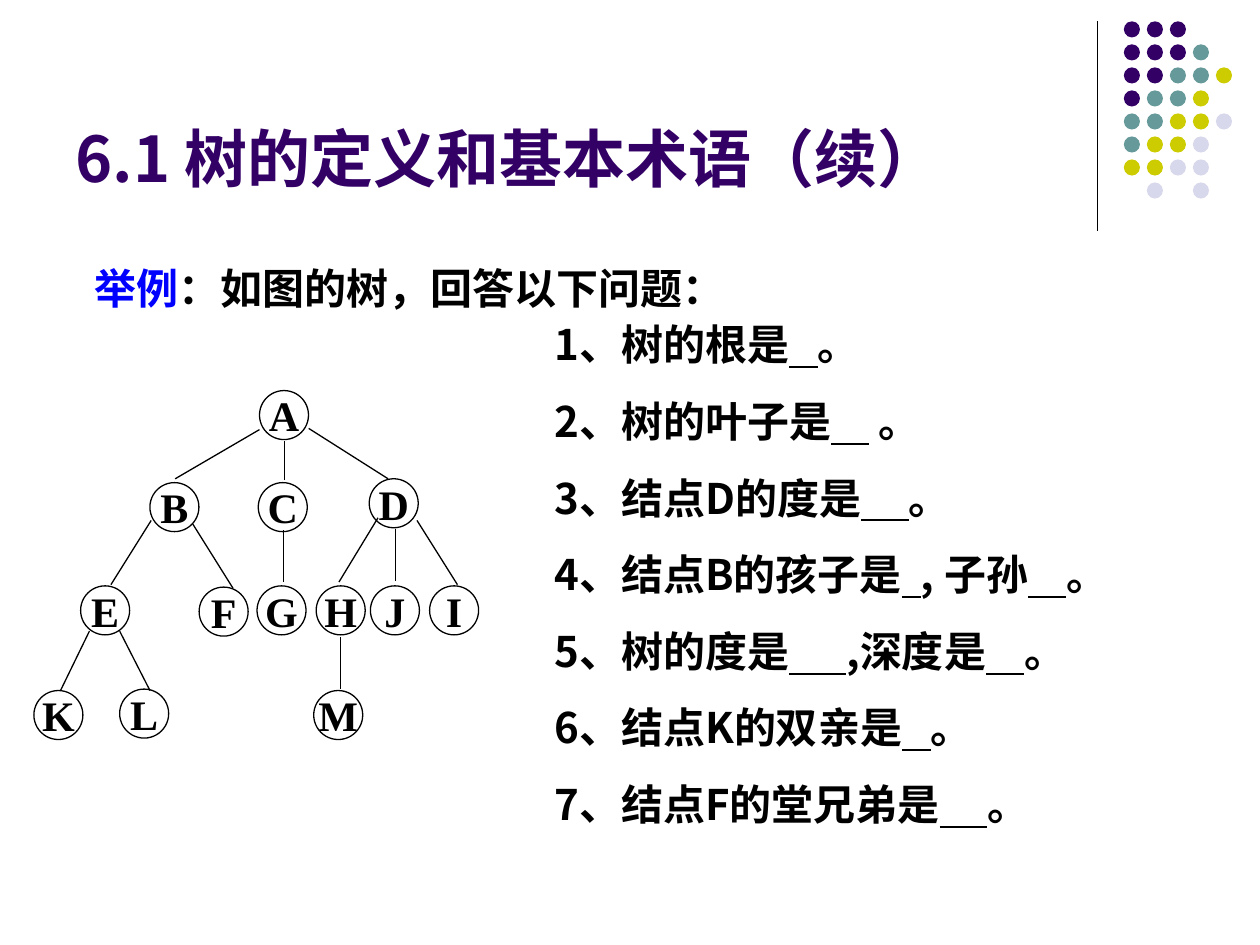
from lxml.etree import SubElement
from pptx import Presentation
from pptx.dml.color import RGBColor
from pptx.enum.shapes import MSO_CONNECTOR, MSO_SHAPE
from pptx.enum.text import MSO_ANCHOR, MSO_AUTO_SIZE, PP_ALIGN
from pptx.oxml.ns import qn
from pptx.util import Pt

THEME = {
    "black": "000000", "blue": "0000FF", "purple": "330066",
    "dots": {"P": "330066", "T": "669999", "Y": "CCCC00", "L": "D8D8EC"},
    "sans": "Noto Sans CJK SC", "lead": "Roboto", "serif": "Times New Roman",
    "head": 36, "text": 24, "line": 0.75,
}
TITLE = "6.1 树的定义和基本术语（续）"
LEAD = [("举例", "blue"), ("：如图的树，回答以下问题：", "black")]
# A number stands for an answer blank of that many underlined spaces.
TASKS = [
    ["1、树的根是", 3, "。"],
    ["2、树的叶子是", 4, " 。"],
    ["3、结点D的度是", 5, "。"],
    ["4、结点B的孩子是", 2, ", 子孙", 4, "。"],
    ["5、树的度是", 6, ",深度是", 4, "。"],
    ["6、结点K的双亲是", 3, "。"],
    ["7、结点F的堂兄弟是", 5, "。"],
]
DOTS = ["PPP", "PPPT", "PPTTY", "PTTY", "TTYYL", "TYYL", "YYLL", " L L"]
NODES = {
    "A": (148.3, 223.2),
    "B": (85.7, 275.8), "C": (147.6, 275.8), "D": (211, 273.6),
    "E": (46.1, 334.8), "F": (113.8, 335.5), "G": (146.9, 334.8),
    "H": (180.7, 334.8), "J": (211.7, 334.8), "I": (245.5, 334.8),
    "K": (19.4, 394.6), "L": (68.4, 393.8), "M": (179.3, 394.6),
}
EDGES = [
    (148.3, 245.5, 100.1, 273.6),  # A-B
    (162.7, 252, 162.7, 274.3),  # A-C
    (176.4, 244.8, 221.8, 273.6),  # A-D
    (86.4, 297.4, 63.4, 334.1),  # B-E
    (110.2, 299.5, 133.2, 336.2),  # B-F
    (162, 303.1, 162, 332.6),  # C-G
    (216, 295.9, 193.7, 332.6),  # D-H
    (226.1, 302.4, 226.1, 331.9),  # D-J
    (238.3, 297.4, 261.4, 334.1),  # D-I
    (51.1, 360.7, 34.6, 394.6),  # E-K
    (68.4, 360.7, 85.7, 394.6),  # E-L
    (194.4, 364.3, 194.4, 393.8),  # H-M
]
NODE, DOT, STEP = 28, 9.2, 13.15


def paint(form, name):
    form.color.rgb = RGBColor.from_string(name)


def style(para, size, face, color, space=0):
    """Format a whole paragraph, Latin and East Asian text alike."""
    props = para._p.get_or_add_pPr()
    props.set("marL", "0")
    props.set("indent", "0")
    para.line_spacing = Pt(size * 1.2)
    para.space_before = Pt(space)
    SubElement(props, qn("a:buNone"))
    font = para.font
    font.size, font.bold = Pt(size), True
    paint(font, color)
    font.name = face
    SubElement(props.defRPr, qn("a:ea")).set("typeface", THEME["sans"])


def place(shape, left, top, width, height):
    shape.left, shape.top = Pt(left), Pt(top)
    shape.width, shape.height = Pt(width), Pt(height)


def frame(shape, size, anchor=MSO_ANCHOR.TOP, wrap=True):
    """Set up a text frame, lowered to fit its tight line pitch."""
    text, drop = shape.text_frame, round(size * 0.09, 2)
    text.word_wrap, text.auto_size = wrap, MSO_AUTO_SIZE.NONE
    text.vertical_anchor = anchor
    text.margin_left = text.margin_right = Pt(7.2)
    text.margin_top, text.margin_bottom = Pt(3.6 + drop), Pt(3.6 - drop)
    return text


def line(slide, ends):
    link = slide.shapes.add_connector(MSO_CONNECTOR.STRAIGHT, *map(Pt, ends))
    paint(link.line, THEME["black"])
    link.line.width = Pt(THEME["line"])
    SubElement(link._element.spPr, qn("a:effectLst"))


def disc(slide, left, top, size):
    shape = slide.shapes.add_shape(
        MSO_SHAPE.OVAL, Pt(left), Pt(top), Pt(size), Pt(size))
    shape.shadow.inherit = False
    return shape


def add_dots(slide):
    line(slide, (627.1, 12.2, 627.1, 131.8))
    for row, marks in enumerate(DOTS):
        for col, mark in enumerate(marks):
            if mark in THEME["dots"]:
                dot = disc(slide, 642.2 + col * STEP, 12.2 + row * STEP, DOT)
                dot.fill.solid()
                dot.fill.fore_color.rgb = RGBColor.from_string(
                    THEME["dots"][mark])
                dot.line.fill.background()


def add_tree(slide):
    for ends in EDGES:
        line(slide, ends)
    for name, (left, top) in NODES.items():
        node = disc(slide, left, top, NODE)
        node.fill.background()
        paint(node.line, THEME["black"])
        node.line.width = Pt(THEME["line"])
        text = node.text_frame
        text.word_wrap, text.vertical_anchor = False, MSO_ANCHOR.MIDDLE
        para = text.paragraphs[0]
        para.text, para.alignment = name, PP_ALIGN.CENTER
        font = para.font
        font.size, font.bold = Pt(THEME["text"]), True
        paint(font, THEME["black"])
        font.name = THEME["serif"]


def add_title(slide):
    title = slide.shapes.title
    place(title, 36, 9.4, 594, 102.2)
    para = frame(title, THEME["head"], MSO_ANCHOR.BOTTOM).paragraphs[0]
    para.text, para.alignment = TITLE, PP_ALIGN.LEFT
    style(para, THEME["head"], THEME["sans"], THEME["purple"])


def add_lead(slide):
    box = slide.shapes.add_textbox(Pt(46.8), Pt(144), Pt(374.4), Pt(36))
    para = frame(box, THEME["text"], wrap=False).paragraphs[0]
    style(para, THEME["text"], THEME["lead"], THEME["black"])
    for words, color in LEAD:
        run = para.add_run()
        run.text = words
        paint(run.font, THEME[color])


def add_tasks(slide):
    body = slide.placeholders[1]
    place(body, 309.6, 176.4, 396, 327.6)
    text = frame(body, THEME["text"])
    for index, parts in enumerate(TASKS):
        para = text.add_paragraph() if index else text.paragraphs[0]
        style(para, THEME["text"], THEME["sans"], THEME["black"],
              15 if index else 0)
        for part in parts:
            run = para.add_run()
            if isinstance(part, int):
                run.text, run.font.underline = " " * part, True
            else:
                run.text = part


def main():
    deck = Presentation()
    deck.slide_width, deck.slide_height = Pt(720), Pt(540)
    slide = deck.slides.add_slide(deck.slide_layouts[1])
    for add in (add_dots, add_tree, add_tasks, add_lead, add_title):
        add(slide)
    deck.save("out.pptx")


if __name__ == "__main__":
    main()
